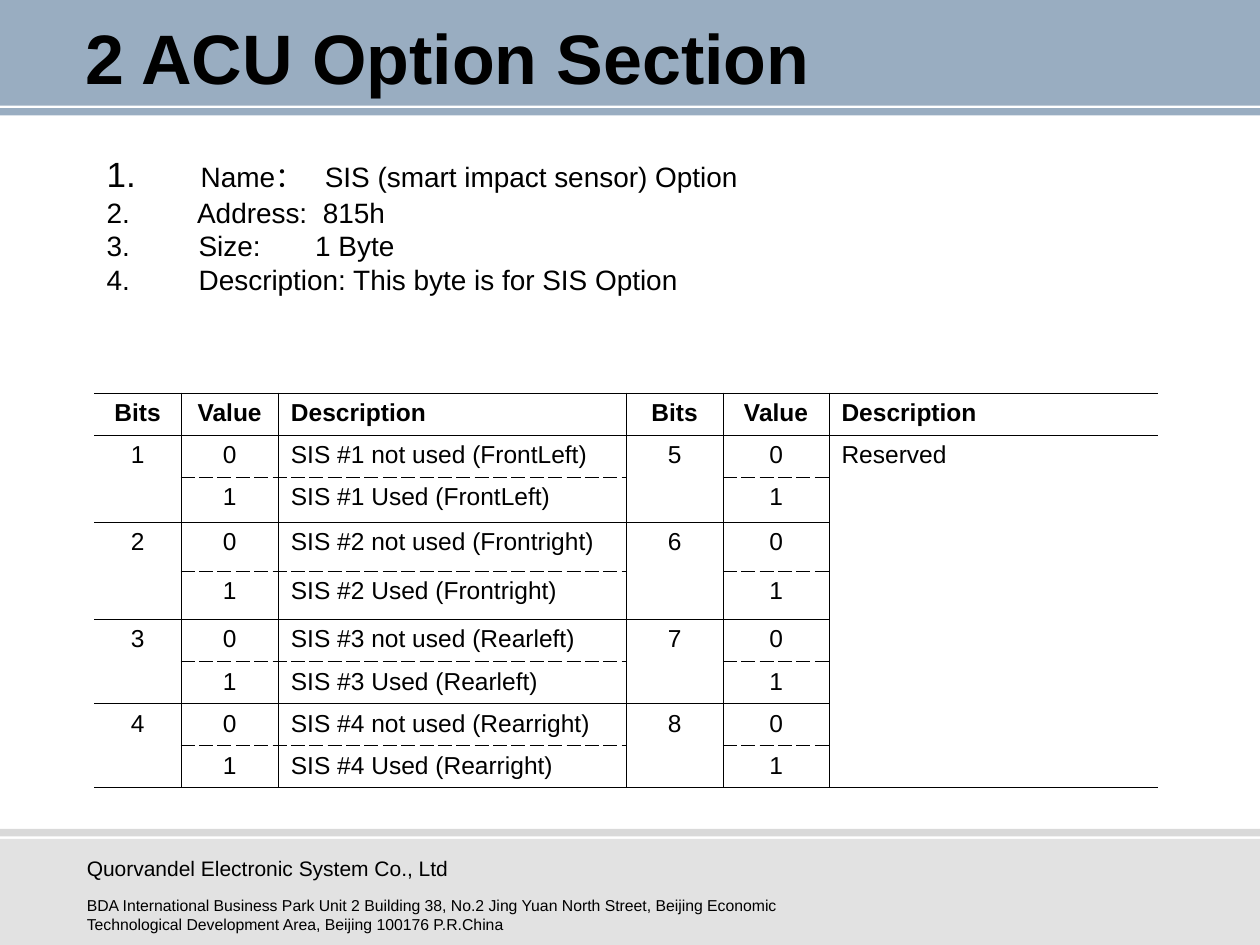
from lxml import etree
from pptx import Presentation
from pptx.dml.color import RGBColor
from pptx.enum.shapes import MSO_SHAPE
from pptx.enum.text import MSO_ANCHOR, PP_ALIGN
from pptx.oxml.ns import qn
from pptx.util import Cm, Pt

RECT = MSO_SHAPE.RECTANGLE
TOP, MIDDLE = MSO_ANCHOR.TOP, MSO_ANCHOR.MIDDLE
LEFT, CENTER = PP_ALIGN.LEFT, PP_ALIGN.CENTER
BLACK = RGBColor(0, 0, 0)
NAVY = RGBColor(0x00, 0x33, 0x66)
GREY = RGBColor(0xC0, 0xC0, 0xC0)
FONT = "Arial"
SPACE = 4.45
PLAIN = "{2D5ABB26-0587-4C30-8999-92F81FD0307C}"

COLS = [1.75, 1.96, 7.01, 1.96, 2.13, 6.63]
ROWS = [0.84, 0.84, 0.91, 0.99, 0.97, 0.84, 0.84, 0.84, 0.84]
HEADS = ["Bits", "Value", "Description"] * 2
SEATS = ["FrontLeft", "Frontright", "Rearleft", "Rearright"]
ITEMS = [
    ("Name：", 3, "SIS (smart impact sensor) Option"),
    ("Address:", 2, "815h"),
    ("Size:", 7, "1 Byte"),
    ("Description:", 1, "This byte is for SIS Option"),
]


def write(par, text, size=14, bold=False, track=0):
    run = par.add_run()
    run.text = text
    font = run.font
    font.name, font.size, font.bold = FONT, Pt(size), bold
    font.color.rgb = BLACK
    if track:
        run._r.get_or_add_rPr().set("spc", str(round(track * 100)))


def add_band(slide, top, height, color, alpha):
    band = slide.shapes.add_shape(RECT, 0, Cm(top), Cm(25.4), Cm(height))
    band.shadow.inherit = False
    band.fill.solid()
    band.fill.fore_color.rgb = color
    band.line.fill.background()
    tint = band._element.spPr.find(qn("a:solidFill"))[0]
    etree.SubElement(tint, qn("a:alpha")).set("val", str(alpha * 1000))


def add_box(slide, left, top, width, height, anchor=TOP):
    box = slide.shapes.add_textbox(Cm(left), Cm(top), Cm(width), Cm(height))
    frame = box.text_frame
    frame.word_wrap = True
    frame.vertical_anchor = anchor
    return frame


def add_header(slide, top):
    add_band(slide, top, 2.13, NAVY, 40)
    add_band(slide, top + 2.18, 0.15, NAVY, 40)
    frame = add_box(slide, 1.48, top + 0.33, 22.42, 1.6, MIDDLE)
    write(frame.paragraphs[0], "2 ACU Option Section", size=40, bold=True)


def add_footer(slide, top):
    add_band(slide, top, 0.15, GREY, 60)
    add_band(slide, top + 0.2, 2.14, GREY, 46)
    firm = add_box(slide, 1.5, top + 0.41, 16.2, 0.79)
    write(firm.paragraphs[0], "Quorvandel Electronic System Co., Ltd", size=12)
    place = add_box(slide, 1.5, top + 1.22, 16.2, 1.12)
    write(
        place.paragraphs[0],
        "BDA International Business Park Unit 2 Building 38, "
        "No.2 Jing Yuan North Street, Beijing Economic "
        "Technological Development Area, Beijing 100176 P.R.China",
        size=9,
    )


def add_list(slide, left, top, width, height):
    frame = add_box(slide, left, top, width, height)
    for i, (label, gap, value) in enumerate(ITEMS):
        par = frame.add_paragraph() if i else frame.paragraphs[0]
        props = par._p.get_or_add_pPr()
        props.set("marL", str(Cm(1.7)))
        props.set("indent", str(-Cm(1.7)))
        mark = etree.SubElement(props, qn("a:buAutoNum"))
        mark.set("type", "arabicPeriod")
        par.line_spacing = 0.8
        if i:
            par.space_before = Pt(4)
        write(par, " ", size=16 if i else 20)
        write(par, label, size=16)
        write(par, " ", size=16, track=(gap - 1) * SPACE)
        write(par, value, size=16)


def add_edge(cell, side, dash):
    line = etree.SubElement(cell._tc.get_or_add_tcPr(), qn("a:ln" + side))
    line.set("w", str(Pt(0.45)))
    fill = etree.SubElement(line, qn("a:solidFill"))
    etree.SubElement(fill, qn("a:srgbClr")).set("val", str(BLACK))
    etree.SubElement(line, qn("a:prstDash")).set("val", "dash" if dash else "solid")


def add_cell(cell, row, col, text):
    split = row > 0 and col in (1, 2, 4)
    if col > 0:
        add_edge(cell, "L", False)
    if col < len(COLS) - 1:
        add_edge(cell, "R", False)
    add_edge(cell, "T", split and row % 2 == 0)
    add_edge(cell, "B", split and row % 2 == 1)
    cell.fill.background()
    par = cell.text_frame.paragraphs[0]
    par.alignment = LEFT if col in (2, 5) else CENTER
    write(par, text, bold=row == 0)


def get_rows():
    rows = [HEADS]
    for n, seat in enumerate(SEATS, 1):
        for bit, state in enumerate(("not used", "Used")):
            note = f"SIS #{n} {state} ({seat})"
            rows.append([str(n), str(bit), note, str(n + 4), str(bit), "Reserved"])
    return rows


def add_bits(slide, left, top):
    table = slide.shapes.add_table(
        len(ROWS), len(COLS), Cm(left), Cm(top), Cm(sum(COLS)), Cm(sum(ROWS))
    ).table
    table.first_row = table.horz_banding = False
    table._tbl.tblPr.find(qn("a:tableStyleId")).text = PLAIN
    for col, width in zip(table.columns, COLS):
        col.width = Cm(width)
    for row, height in zip(table.rows, ROWS):
        row.height = Cm(height)
    for row in range(1, len(ROWS), 2):
        for col in (0, 3):
            table.cell(row, col).merge(table.cell(row + 1, col))
    table.cell(1, 5).merge(table.cell(len(ROWS) - 1, 5))
    for r, texts in enumerate(get_rows()):
        for c, text in enumerate(texts):
            cell = table.cell(r, c)
            if cell.is_spanned:
                cell.fill.background()
            else:
                add_cell(cell, r, c, text)


def main():
    deck = Presentation()
    deck.slide_width, deck.slide_height = Cm(25.4), Cm(19.05)
    slide = deck.slides.add_slide(deck.slide_layouts[6])
    add_header(slide, 0)
    add_footer(slide, 16.71)
    add_bits(slide, 1.9, 7.92)
    add_list(slide, 1.9, 3.12, 21.44, 3)
    deck.save("out.pptx")


if __name__ == "__main__":
    main()
